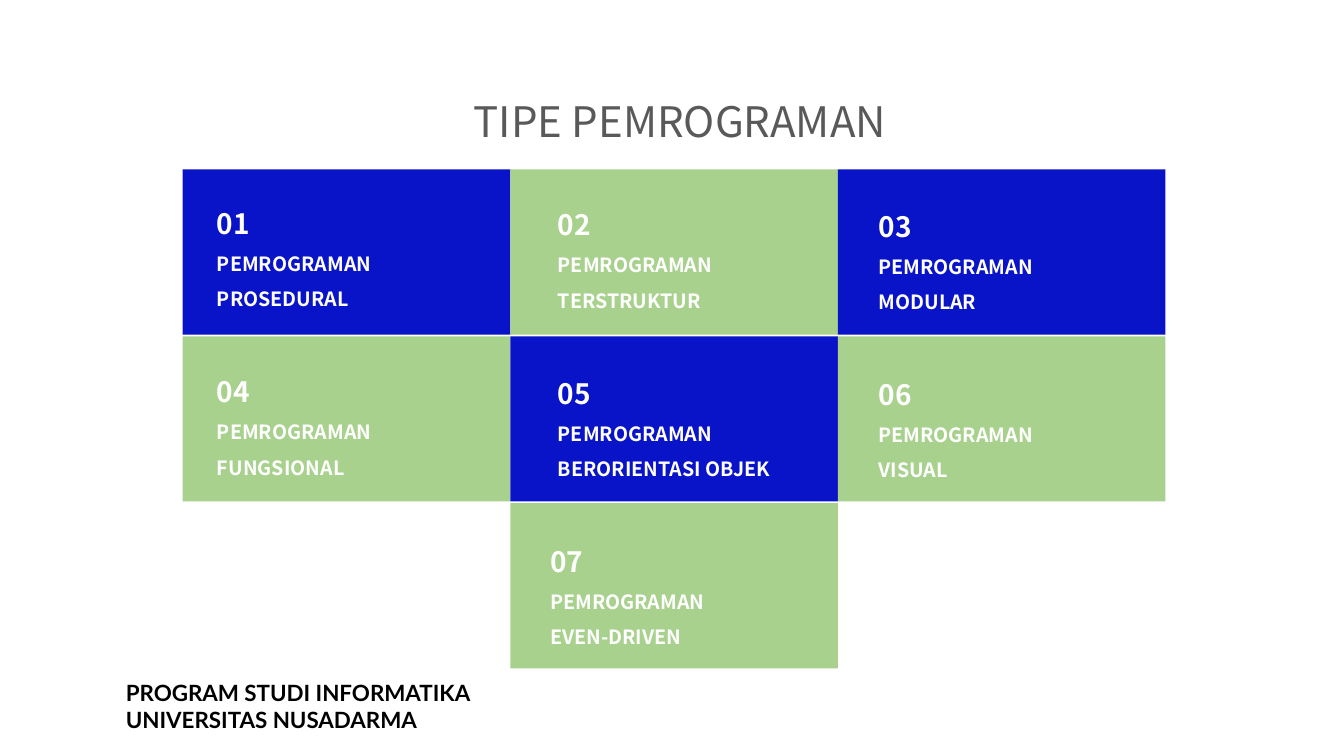
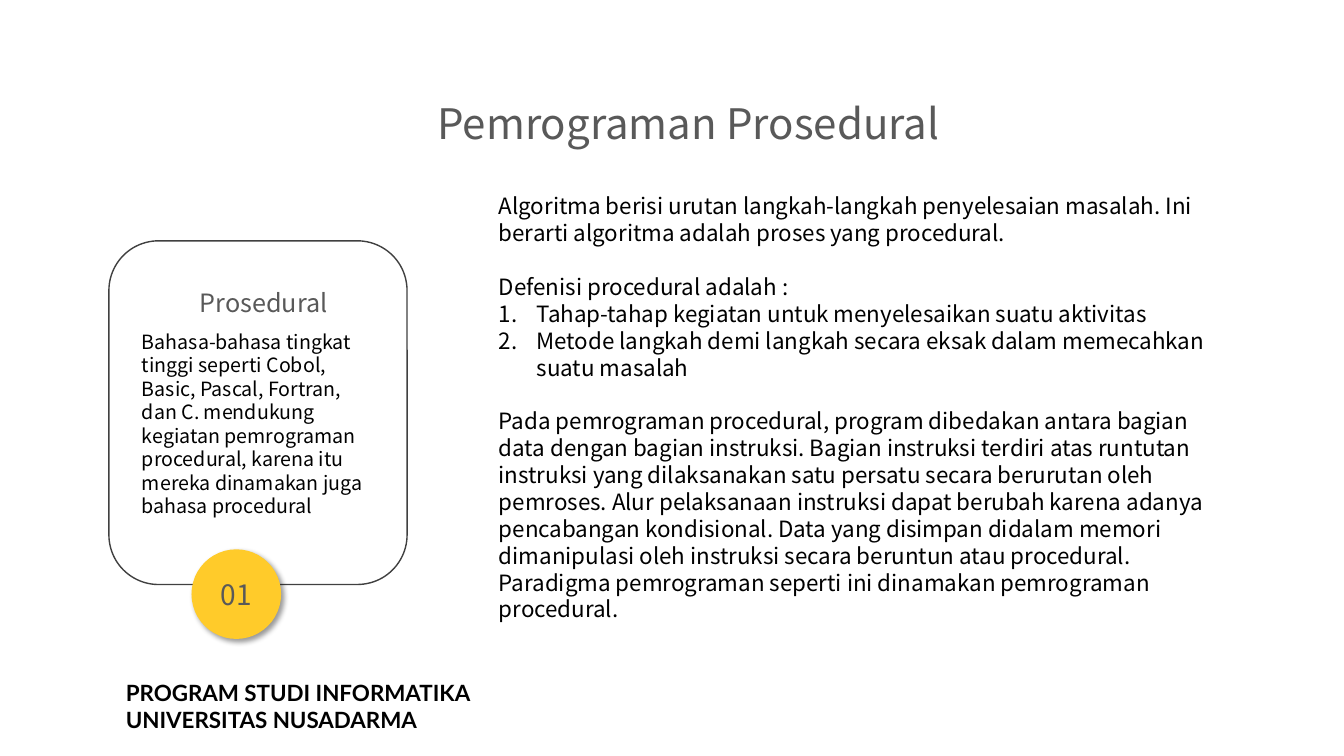
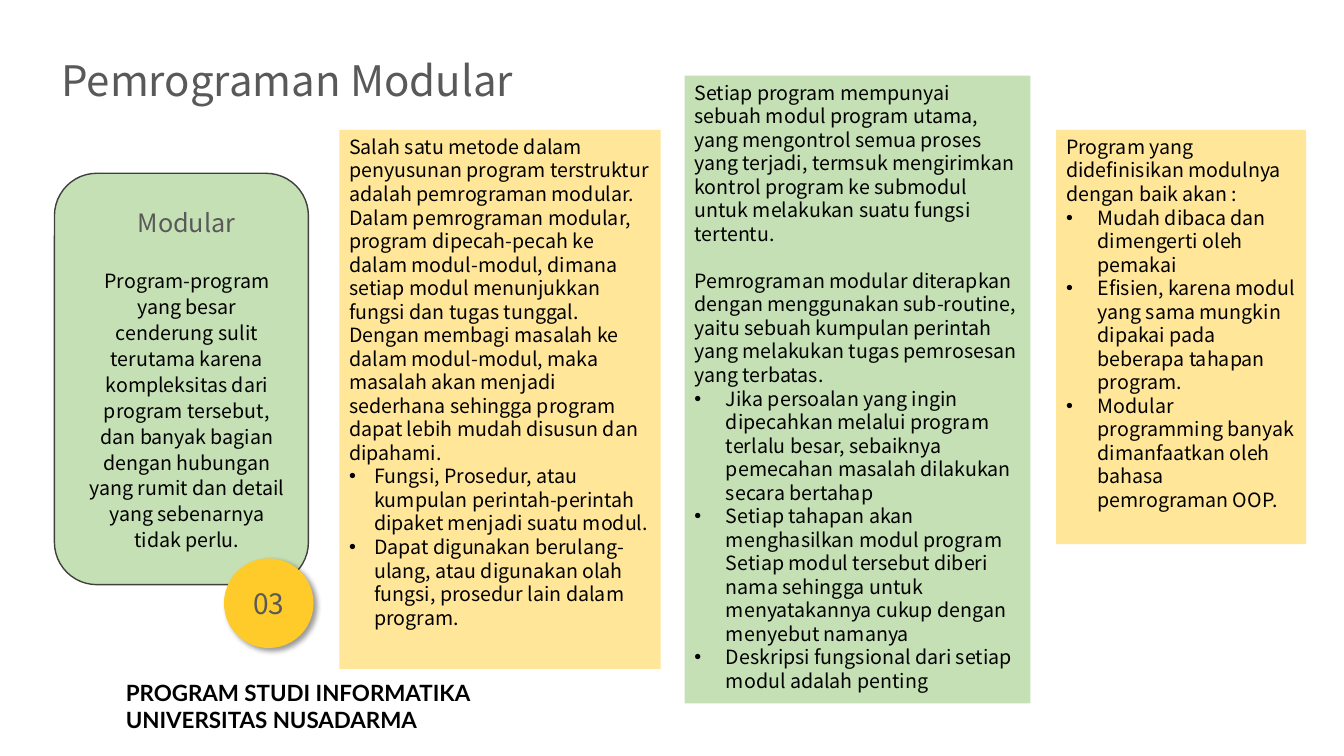
from dataclasses import dataclass

from lxml import etree
from pptx import Presentation
from pptx.dml.color import RGBColor
from pptx.enum import shapes, text
from pptx.oxml.ns import qn
from pptx.util import Pt

BLUE = RGBColor(0x09, 0x13, 0xC8)
GREEN = RGBColor(0xA9, 0xD1, 0x8E)
PALE_GREEN = RGBColor(0xC5, 0xE0, 0xB4)
PALE_YELLOW = RGBColor(0xFF, 0xE6, 0x99)
YELLOW = RGBColor(0xFF, 0xCB, 0x2A)
WHITE = RGBColor(0xFF, 0xFF, 0xFF)
BLACK = RGBColor(0, 0, 0)
GREY = RGBColor(0x59, 0x59, 0x59)
OUTLINE = RGBColor(0x40, 0x40, 0x40)

BODY_FONT = "Noto Sans CJK SC"
FOOTER_FONT = "Lato"
CENTER = text.PP_ALIGN.CENTER
LEFT = text.PP_ALIGN.LEFT
RECTANGLE = shapes.MSO_SHAPE.RECTANGLE
ROUNDED = shapes.MSO_SHAPE.ROUNDED_RECTANGLE
OVAL = shapes.MSO_SHAPE.OVAL

CARD_WIDTH, CARD_HEIGHT = 234, 118
GRID_LEFT, GRID_TOP, ROW_PITCH = 130.5, 121, 119.2
LABEL_TOP, LABEL_PITCH = 135.5, 120.3

# number, second line of the label, column, row, left edge of the label
TYPES = [
    ("01", "PROSEDURAL", 0, 0, 155),
    ("02", "TERSTRUKTUR", 1, 0, 398.5),
    ("03", "MODULAR", 2, 0, 627.5),
    ("04", "FUNGSIONAL", 0, 1, 155),
    ("05", "BERORIENTASI OBJEK", 1, 1, 398.5),
    ("06", "VISUAL", 2, 1, 627.5),
    ("07", "EVEN-DRIVEN", 1, 2, 393),
]


@dataclass
class Line:
    """A paragraph: bullet is a character or "1." for numbering; gap leaves a line's space above."""
    words: str
    bullet: str = ""
    gap: bool = False


PROCEDURAL_LANGUAGES = (
    "Bahasa-bahasa tingkat tinggi seperti Cobol, Basic, Pascal, Fortran, dan C. mendukung "
    "kegiatan pemrograman procedural, karena itu mereka dinamakan juga bahasa procedural")
PROCEDURAL_NOTES = [
    Line("Algoritma berisi urutan langkah-langkah penyelesaian masalah. Ini berarti algoritma "
         "adalah proses yang procedural."),
    Line("Defenisi procedural adalah :", gap=True),
    Line("Tahap-tahap kegiatan untuk menyelesaikan suatu aktivitas", "1."),
    Line("Metode langkah demi langkah secara eksak dalam memecahkan suatu masalah", "1."),
    Line("Pada pemrograman procedural, program dibedakan antara bagian data dengan bagian "
         "instruksi. Bagian instruksi terdiri atas runtutan instruksi yang dilaksanakan satu "
         "persatu secara berurutan oleh pemroses. Alur pelaksanaan instruksi dapat berubah "
         "karena adanya pencabangan kondisional. Data yang disimpan didalam memori dimanipulasi "
         "oleh instruksi secara beruntun atau procedural. Paradigma pemrograman seperti ini "
         "dinamakan pemrograman procedural.", gap=True),
]
MODULAR_REASON = (
    "Program-program yang besar cenderung sulit terutama karena kompleksitas dari program "
    "tersebut, dan banyak bagian dengan hubungan yang rumit dan detail yang sebenarnya "
    "tidak perlu.")
MODULAR_METHOD = [
    Line("Salah satu metode dalam penyusunan program terstruktur adalah pemrograman modular. "
         "Dalam pemrograman modular, program dipecah-pecah ke dalam modul-modul, dimana setiap "
         "modul menunjukkan fungsi dan tugas tunggal. Dengan membagi masalah ke dalam "
         "modul-modul, maka masalah akan menjadi sederhana sehingga program dapat lebih mudah "
         "disusun dan dipahami."),
    Line("Fungsi, Prosedur, atau kumpulan perintah-perintah dipaket menjadi suatu modul.", "•"),
    Line("Dapat digunakan berulang-ulang, atau digunakan olah fungsi, prosedur lain dalam "
         "program.", "•"),
]
MODULAR_MAIN = [
    Line("Setiap program mempunyai sebuah modul program utama, yang mengontrol semua proses "
         "yang terjadi, termsuk mengirimkan kontrol program ke submodul untuk melakukan suatu "
         "fungsi tertentu."),
    Line("Pemrograman modular diterapkan dengan menggunakan sub-routine, yaitu sebuah kumpulan "
         "perintah yang melakukan tugas pemrosesan yang terbatas.", gap=True),
    Line("Jika persoalan yang ingin dipecahkan melalui program terlalu besar, sebaiknya "
         "pemecahan masalah dilakukan secara bertahap", "•"),
    Line("Setiap tahapan akan menghasilkan modul program Setiap modul tersebut diberi nama "
         "sehingga untuk menyatakannya cukup dengan menyebut namanya", "•"),
    Line("Deskripsi fungsional dari setiap modul adalah penting", "•"),
]
MODULAR_BENEFITS = [
    Line("Program yang didefinisikan modulnya dengan baik akan :"),
    Line("Mudah dibaca dan dimengerti oleh pemakai", "•"),
    Line("Efisien, karena modul yang sama mungkin dipakai pada beberapa tahapan program.", "•"),
    Line("Modular programming banyak dimanfaatkan oleh bahasa pemrograman OOP.", "•"),
]


def add_box(slide, area, fill, kind=RECTANGLE):
    box = slide.shapes.add_shape(kind, *map(Pt, area))
    box.shadow.inherit = False
    box.fill.solid()
    box.fill.fore_color.rgb = fill
    box.line.fill.background()
    return box


def add_bullet(para, bullet, indent):
    props = para._p.get_or_add_pPr()
    props.set("marL", str(Pt(indent)))
    props.set("indent", str(-Pt(indent)))
    if bullet == "1.":
        etree.SubElement(props, qn("a:buAutoNum"), type="arabicPeriod")
    else:
        etree.SubElement(props, qn("a:buFont"), typeface="Arial")
        etree.SubElement(props, qn("a:buChar"), char=bullet)


def write(box, lines, size, color=BLACK, align=LEFT, spacing=None, bold=False,
          font=BODY_FONT, indent=22.5):
    """Fill a shape with paragraphs of one style, from the top down."""
    frame = box.text_frame
    frame.word_wrap = True
    frame.vertical_anchor = text.MSO_ANCHOR.TOP
    frame.text = "\n".join(line.words for line in lines)
    for line, para in zip(lines, frame.paragraphs):
        para.alignment = align
        if spacing:
            para.line_spacing = spacing
        if line.gap:
            para.space_before = Pt(1.2 * size)
        if line.bullet:
            add_bullet(para, line.bullet, indent)
        for span in para.runs:
            span.font.name = font
            span.font.size = Pt(size)
            span.font.bold = bold
            span.font.color.rgb = color
    return frame


def add_text(slide, area, lines, size, **style):
    return write(slide.shapes.add_textbox(*map(Pt, area)), lines, size, **style)


def add_panel(slide, area, fill, lines, size=14, **style):
    """A filled rectangle with text."""
    return write(add_box(slide, area, fill), lines, size, **style)


def add_page(deck):
    """A blank slide with the footer behind all else."""
    page = deck.slides.add_slide(deck.slide_layouts[6])
    footer = [Line("PROGRAM STUDI INFORMATIKA"), Line("UNIVERSITAS NUSADARMA")]
    add_text(page, (82.8, 481.7, 400, 46), footer, 16, bold=True, font=FOOTER_FONT)
    return page


def add_title(page, left, top, width, words):
    add_text(page, (left, top, width, 44), [Line(words)], 30, color=GREY, align=CENTER)


def add_type_card(page, number, topic, column, row, label_left):
    area = (GRID_LEFT + column * CARD_WIDTH, GRID_TOP + row * ROW_PITCH,
            CARD_WIDTH, CARD_HEIGHT)
    add_box(page, area, GREEN if (column + row) % 2 or row == 2 else BLUE)
    frame = add_text(page, (label_left, LABEL_TOP + row * LABEL_PITCH + column, 173, 84),
                     [Line(number), Line("PEMROGRAMAN"), Line(topic)], 14,
                     color=WHITE, spacing=1.5, bold=True)
    frame.margin_left = frame.margin_right = frame.margin_top = frame.margin_bottom = 0
    frame.paragraphs[0].runs[0].font.size = Pt(20)


def add_outlined_card(page, area, fill):
    card = add_box(page, area, fill, ROUNDED)
    card.line.color.rgb = OUTLINE
    card.line.width = Pt(1)


def add_heading(page, area, fill, words):
    add_panel(page, area, fill, [Line(words)], 18, color=GREY, align=CENTER, spacing=1.5)


def add_badge(page, left, top, number):
    """A numbered disc with a soft shadow."""
    badge = add_box(page, (left, top, 64, 64), YELLOW, OVAL)
    frame = write(badge, [Line(number)], 20, color=GREY, align=CENTER)
    frame.vertical_anchor = text.MSO_ANCHOR.MIDDLE
    frame.margin_left = frame.margin_right = Pt(9.4)
    frame.margin_top = frame.margin_bottom = Pt(5)
    effects = badge._element.spPr.find(qn("a:effectLst"))
    shadow = etree.SubElement(effects, qn("a:outerShdw"), blurRad=str(Pt(4)), dist=str(Pt(3)),
                              dir=str(45 * 60000), algn="tl", rotWithShape="0")
    shade = etree.SubElement(shadow, qn("a:srgbClr"), val=str(BLACK))
    etree.SubElement(shade, qn("a:alpha"), val="40000")


def build_types(deck):
    page = add_page(deck)
    for entry in TYPES:
        add_type_card(page, *entry)
    add_title(page, 319.7, 64.8, 332, "TIPE PEMROGRAMAN")


def build_procedural(deck):
    page = add_page(deck)
    add_outlined_card(page, (77.8, 172, 213, 245.5), WHITE)
    add_heading(page, (103, 190.8, 170.6, 36), WHITE, "Prosedural")
    add_panel(page, (94.3, 231.8, 179.3, 143.3), WHITE, [Line(PROCEDURAL_LANGUAGES)])
    add_badge(page, 136.8, 392.4, "01")
    add_title(page, 298.8, 66.2, 386, "Pemrograman Prosedural")
    add_text(page, (349.2, 134, 533.5, 339), PROCEDURAL_NOTES, 16, indent=27)


def build_modular(deck):
    page = add_page(deck)
    add_outlined_card(page, (38.9, 123.8, 181.4, 293.8), PALE_GREEN)
    add_heading(page, (60.5, 134, 145.4, 43.2), PALE_GREEN, "Modular")
    add_panel(page, (56.9, 187.2, 153.4, 225), PALE_GREEN, [Line(MODULAR_REASON)],
              align=CENTER, spacing=1.1)
    add_badge(page, 160, 398.9, "03")
    add_title(page, 13, 35.3, 384.5, "Pemrograman Modular")
    add_panel(page, (242.4, 92.8, 229.5, 385), PALE_YELLOW, MODULAR_METHOD, indent=18)
    add_panel(page, (489, 54, 247, 448.5), PALE_GREEN, MODULAR_MAIN)
    add_panel(page, (754.4, 92.8, 178.6, 296), PALE_YELLOW, MODULAR_BENEFITS)


def main():
    deck = Presentation()
    deck.slide_width, deck.slide_height = Pt(960), Pt(540)
    build_types(deck)
    build_procedural(deck)
    build_modular(deck)
    deck.save("out.pptx")


if __name__ == "__main__":
    main()
